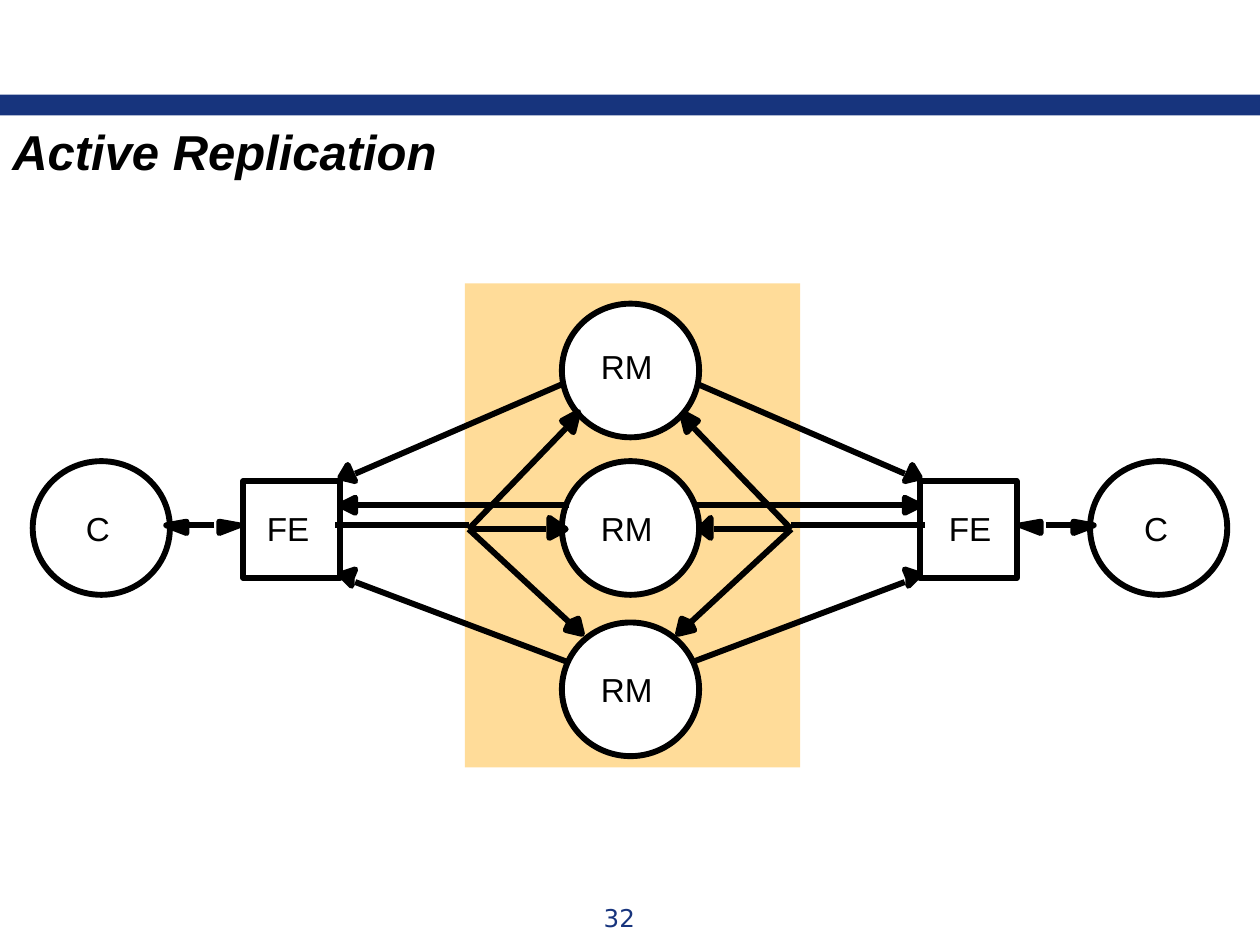
import dataclasses
import typing

import lxml.etree
import pptx
import pptx.dml.color
import pptx.enum.shapes
import pptx.enum.text
import pptx.oxml.ns
import pptx.util

Pt = pptx.util.Pt
SHAPES = pptx.enum.shapes.MSO_SHAPE
ALIGN = pptx.enum.text.PP_ALIGN
Point = tuple[float, float]

COLOURS = {
    "black": "000000",
    "white": "FFFFFF",
    "navy": "17347D",
    "sand": "FFDC99",
}
SLIDE_WIDTH, SLIDE_HEIGHT = 720, 540
STROKE = 3.38
CIRCLE_WIDTH, CIRCLE_HEIGHT = 78.4, 76.4
SQUARE = 55.4
LABEL_TOP = 290.2


@dataclasses.dataclass(frozen=True)
class Arrow:
    """A shaft and a filled head, given for the left half of the diagram."""
    shaft: tuple[Point, Point]
    heads: tuple[tuple[Point, ...], ...] = ()


@dataclasses.dataclass(frozen=True)
class Side:
    """One client with its front end; the right side mirrors the left."""
    mirrored: bool
    client_label_left: float
    front_end_label_left: float
    middle_tip: float  # x of the head reaching the middle replica


@dataclasses.dataclass(frozen=True)
class Replica:
    top: float
    label_top: float


LEFT = Side(False, 49, 152.6, 323.3)
RIGHT = Side(True, 653.8, 542.2, 320.4)
REPLICAS = [Replica(173.5, 198), Replica(263.5, LABEL_TOP), Replica(355.7, 382.3)]


def arrows_for(side: Side) -> list[Arrow]:
    return [
        # Front end to the fan-out point
        Arrow(((191.5, 300.2), (267.8, 300.2))),
        # Client and front end, both ways
        Arrow(((122.4, 300.2), (106.6, 300.2)), (
            ((125.3, 300.2), (125.3, 298.1), (136.8, 300.2), (125.3, 304.6)),
            ((106.6, 300.2), (106.6, 304.6), (95, 300.2), (106.6, 298.1)))),
        # Requests to the top, middle and bottom replicas
        Arrow(((267.8, 302.4), (323.3, 244.8)), (
            ((323.3, 242.6), (321.1, 240.5), (330.5, 235.4), (327.6, 247)),)),
        Arrow(((268.9, 302.4), (311.8, 302.4)), (
            ((313.9, 302.4), (313.9, 295.9), (side.middle_tip, 302.4), (313.9, 307.4)),)),
        Arrow(((267.8, 302.4), (325.4, 355.7)), (
            ((325.4, 355.7), (330.5, 353.5), (332.6, 362.2), (323.3, 360)),)),
        # Replies from the top, bottom and middle replicas
        Arrow(((321.1, 219.6), (203, 270.7)), (
            ((200.9, 270.7), (203, 275), (194.4, 272.9), (198.7, 265.7)),)),
        Arrow(((325.4, 378.7), (203, 332.6)), (
            ((200.9, 330.5), (200.9, 334.8), (194.4, 328.3), (203, 325.4)),)),
        Arrow(((325.4, 288.7), (203, 288.7)), (
            ((203, 288.7), (203, 293), (194.4, 288.7), (203, 284.4)),)),
    ]


def rgb(name: str) -> pptx.dml.color.RGBColor:
    return pptx.dml.color.RGBColor.from_string(COLOURS[name])


def paint(shape: typing.Any, fill: str | None, line: str | None) -> None:
    shape.shadow.inherit = False
    if fill:
        shape.fill.solid()
        shape.fill.fore_color.rgb = rgb(fill)
    else:
        shape.fill.background()
    if line:
        shape.line.color.rgb = rgb(line)
        shape.line.width = Pt(STROKE)
    else:
        shape.line.fill.background()


def add_block(page: typing.Any, kind: typing.Any, left: float, top: float,
              width: float, height: float, *, fill: str | None = None,
              line: str | None = None) -> None:
    block = page.shapes.add_shape(kind, Pt(left), Pt(top), Pt(width), Pt(height))
    paint(block, fill, line)


def add_text(page: typing.Any, text: str, left: float, top: float, width: float,
             height: float, *, size: float = 19, font: str = "Arial",
             colour: str = "black", heavy_italic: bool = False, wrap: bool = False,
             align: typing.Any = ALIGN.LEFT, inset: bool = False) -> None:
    box = page.shapes.add_textbox(Pt(left), Pt(top), Pt(width), Pt(height))
    frame = box.text_frame
    frame.word_wrap = wrap
    if not inset:
        frame.margin_left = frame.margin_right = Pt(0)
        frame.margin_top = frame.margin_bottom = Pt(0)
    para = frame.paragraphs[0]
    para.alignment = align
    span = para.add_run()
    span.text = text
    span.font.size = Pt(size)
    span.font.name = font
    span.font.bold = span.font.italic = heavy_italic
    span.font.color.rgb = rgb(colour)


def place(point: Point, mirrored: bool) -> tuple[int, int]:
    x, y = point
    return Pt(SLIDE_WIDTH - x if mirrored else x), Pt(y)


def add_arrow(page: typing.Any, arrow: Arrow, mirrored: bool) -> None:
    for head in arrow.heads:
        corners = [place(point, mirrored) for point in head]
        builder = page.shapes.build_freeform(*corners[0])
        builder.add_line_segments(corners[1:], close=True)
        paint(builder.convert_to_shape(), "black", "black")
    start, end = (place(point, mirrored) for point in arrow.shaft)
    shaft = page.shapes.add_connector(
        pptx.enum.shapes.MSO_CONNECTOR.STRAIGHT, *start, *end)
    shaft.line.color.rgb = rgb("black")
    shaft.line.width = Pt(STROKE)
    lxml.etree.SubElement(shaft._element.spPr, pptx.oxml.ns.qn("a:effectLst"))


def add_side(page: typing.Any, side: Side) -> None:
    def left_edge(left: float, width: float) -> float:
        return SLIDE_WIDTH - left - width if side.mirrored else left

    add_block(page, SHAPES.OVAL, left_edge(18.7, CIRCLE_WIDTH), 263.5,
              CIRCLE_WIDTH, CIRCLE_HEIGHT, line="black")
    add_text(page, "C", side.client_label_left, LABEL_TOP, 13.7, 23)
    add_block(page, SHAPES.RECTANGLE, left_edge(139, SQUARE), 275,
              SQUARE, SQUARE, line="black")
    add_text(page, "FE", side.front_end_label_left, LABEL_TOP, 24.5, 23)
    for arrow in arrows_for(side):
        add_arrow(page, arrow, side.mirrored)


def add_replica(page: typing.Any, replica: Replica) -> None:
    add_block(page, SHAPES.OVAL, 321.1, replica.top, CIRCLE_WIDTH, CIRCLE_HEIGHT,
              fill="white", line="black")
    add_text(page, "RM", 343.4, replica.label_top, 29.5, 23)


def main() -> None:
    deck = pptx.Presentation()
    deck.slide_width, deck.slide_height = Pt(SLIDE_WIDTH), Pt(SLIDE_HEIGHT)
    page = deck.slides.add_slide(deck.slide_layouts[6])

    # Header band, slide number and title
    add_block(page, SHAPES.RECTANGLE, 0, 54, SLIDE_WIDTH, 12, fill="navy")
    add_text(page, "32", 270, 512.6, 167.8, 24.5, size=14, font="DejaVu Sans",
             colour="navy", wrap=True, align=ALIGN.CENTER, inset=True)
    add_text(page, "Active Replication", 0, 66, 260, 41, size=28,
             heavy_italic=True, inset=True)

    # Replica group between the two clients
    add_block(page, SHAPES.RECTANGLE, 265.7, 162, 191.5, 276.5, fill="sand")
    add_side(page, RIGHT)
    for replica in REPLICAS:
        add_replica(page, replica)
    add_side(page, LEFT)

    deck.save("out.pptx")


if __name__ == "__main__":
    main()
